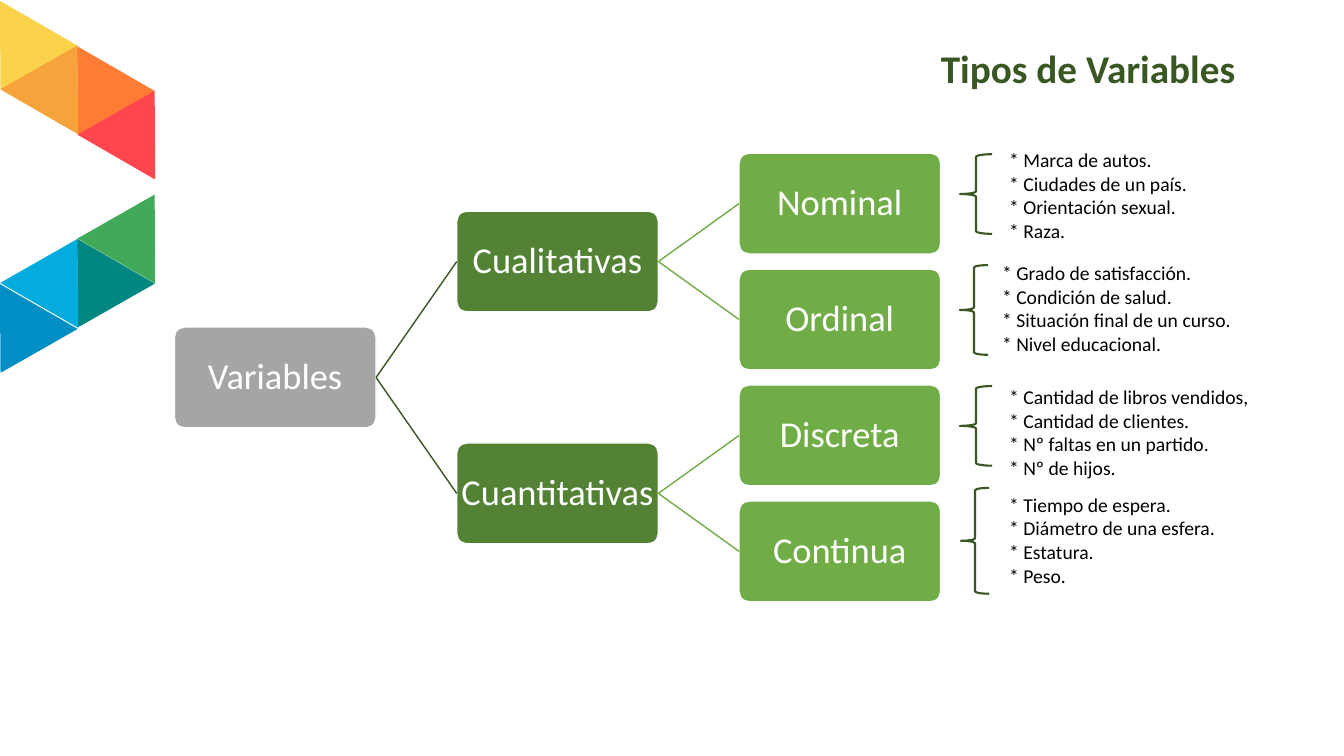
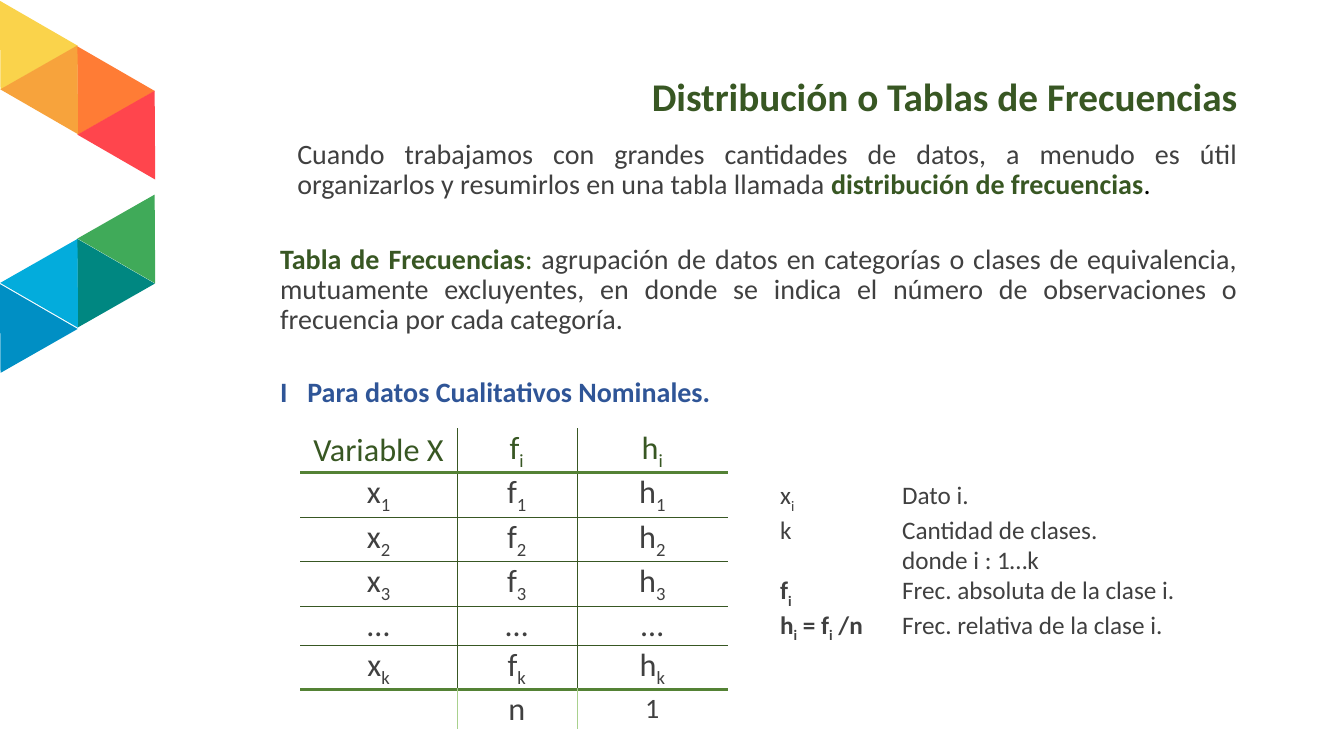
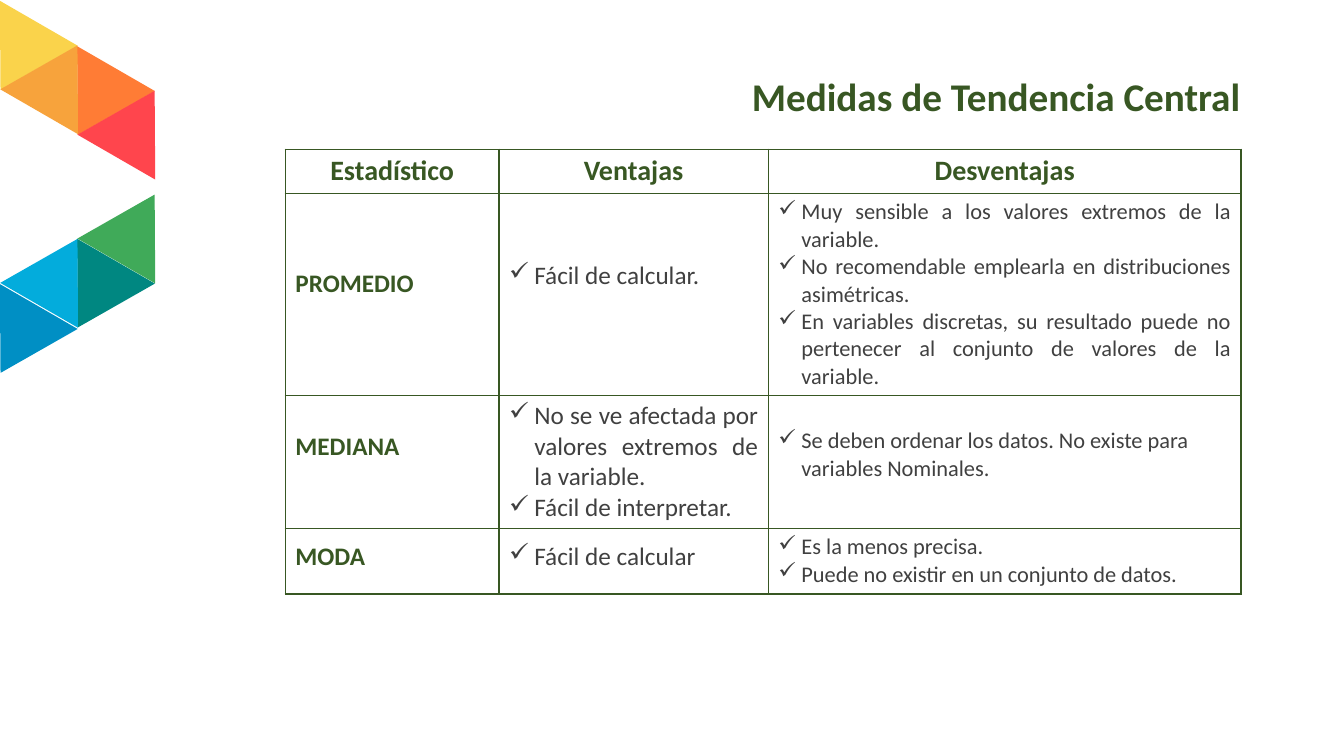
from collections.abc import Sequence
from dataclasses import dataclass, replace
from typing import Optional

import lxml.etree
import pptx
import pptx.dml.color
import pptx.enum.shapes
import pptx.enum.text
import pptx.oxml.ns
import pptx.util

Inches = pptx.util.Inches
Pt = pptx.util.Pt
RGBColor = pptx.dml.color.RGBColor
Align = pptx.enum.text.PP_ALIGN
Anchor = pptx.enum.text.MSO_ANCHOR
Shape = pptx.enum.shapes.MSO_SHAPE
qn = pptx.oxml.ns.qn

FONT = "Calibri"
WHITE = RGBColor(0xFF, 0xFF, 0xFF)
BLACK = RGBColor(0, 0, 0)
CHARCOAL = RGBColor(0x40, 0x40, 0x40)
GRAY = RGBColor(0xA5, 0xA5, 0xA5)
DARK_GREEN = RGBColor(0x38, 0x57, 0x23)
MID_GREEN = RGBColor(0x54, 0x82, 0x35)
GREEN = RGBColor(0x70, 0xAD, 0x47)
PALE_GREEN = RGBColor(0xA9, 0xD1, 0x8E)
BLUE = RGBColor(0x2F, 0x55, 0x97)

PLAIN_TABLE_STYLE = "{2D5ABB26-0587-4C30-8999-92F81FD0307C}"
SLIDE_WIDTH, SLIDE_HEIGHT = 13.33, 7.5
CONTENT_LEFT = 2.68
CONTENT_WIDTH = 9.69

# Tree grid: origin, steps between cells, and cell size
TREE_LEFT, TREE_TOP = 1.73, 1.52
TREE_COLUMN, TREE_ROW = 2.8, 1.15
NODE_WIDTH, NODE_HEIGHT = 2, 1


@dataclass(frozen=True)
class Box:
    left: float
    top: float
    width: float
    height: float

    def emu(self) -> list[int]:
        return [Inches(n) for n in (self.left, self.top, self.width, self.height)]


@dataclass(frozen=True)
class Style:
    size: float
    color: RGBColor
    bold: bool = False
    align: Align = Align.LEFT
    line_spacing: float = 1.0
    bullet_indent: float = 0
    tab: float = 0


@dataclass(frozen=True)
class Run:
    text: str
    bold: Optional[bool] = None
    color: Optional[RGBColor] = None
    subscript: bool = False


@dataclass(frozen=True)
class Triangle:
    column: int
    top: float
    color: RGBColor


@dataclass(frozen=True)
class Node:
    label: str
    column: int
    row: float
    fill: RGBColor
    parent: Optional[str] = None
    branch: Optional[RGBColor] = None


@dataclass(frozen=True)
class Examples:
    brace: Box
    left: float
    top: float
    items: tuple[str, ...]


@dataclass(frozen=True)
class Edge:
    color: RGBColor
    width: float


@dataclass(frozen=True)
class Measure:
    name: str
    name_top: float
    pros: tuple[str, ...]
    pros_top: float
    cons: tuple[str, ...]
    cons_top: float
    cons_align: Align
    height: float


TRIANGLES = (
    Triangle(0, 0.18, RGBColor(0xFA, 0xD3, 0x4B)),
    Triangle(2, 0.63, RGBColor(0xFF, 0x7C, 0x35)),
    Triangle(1, 0.40, RGBColor(0xF7, 0xA3, 0x3C)),
    Triangle(3, 0.85, RGBColor(0xFF, 0x45, 0x4D)),
    Triangle(2, 2.54, RGBColor(0x00, 0x87, 0x81)),
    Triangle(0, 2.99, RGBColor(0x00, 0x8F, 0xC4)),
    Triangle(1, 2.32, RGBColor(0x03, 0xAC, 0xDC)),
    Triangle(3, 1.88, RGBColor(0x40, 0xAA, 0x59)),
)

NODES = (
    Node("Variables", 0, 1.5, GRAY),
    Node("Cualitativas", 1, 0.5, MID_GREEN, "Variables", DARK_GREEN),
    Node("Cuantitativas", 1, 2.5, MID_GREEN, "Variables", DARK_GREEN),
    Node("Nominal", 2, 0, GREEN, "Cualitativas", GREEN),
    Node("Ordinal", 2, 1, GREEN, "Cualitativas", GREEN),
    Node("Discreta", 2, 2, GREEN, "Cuantitativas", GREEN),
    Node("Continua", 2, 3, GREEN, "Cuantitativas", GREEN),
)

EXAMPLES = (
    Examples(Box(9.52, 1.53, 0.32, 0.79), 9.91, 1.42,
             ("Marca de autos.", "Ciudades de un país.", "Orientación sexual.", "Raza.")),
    Examples(Box(9.52, 2.63, 0.28, 0.89), 9.84, 2.54,
             ("Grado de satisfacción.", "Condición de salud.",
              "Situación final de un curso.", "Nivel educacional.")),
    Examples(Box(9.52, 3.83, 0.32, 0.79), 9.91, 3.77,
             ("Cantidad de libros vendidos,", "Cantidad de clientes.",
              "Nº faltas en un partido.", "Nº de hijos.")),
    Examples(Box(9.53, 4.84, 0.28, 1.05), 9.91, 4.84,
             ("Tiempo de espera.", "Diámetro de una esfera.", "Estatura.", "Peso.")),
)

MEASURES = (
    Measure("PROMEDIO", 0.74, ("Fácil de calcular.",), 0.66,
            ("Muy sensible a los valores extremos de la variable.",
             "No recomendable emplearla en distribuciones asimétricas.",
             "En variables discretas, su resultado puede no pertenecer al conjunto "
             "de valores de la variable."), 0.05, Align.JUSTIFY, 2.0),
    Measure("MEDIANA", 0.36,
            ("No se ve afectada por valores extremos de la variable.",
             "Fácil de interpretar."), 0.05,
            ("Se deben ordenar los datos. No existe para variables Nominales.",),
            0.32, Align.LEFT, 1.32),
    Measure("MODA", 0.13, ("Fácil de calcular",), 0.13,
            ("Es la menos precisa.", "Puede no existir en un conjunto de datos."),
            0.05, Align.JUSTIFY, 0.65),
)

TITLE_STYLE = Style(28, DARK_GREEN, bold=True, align=Align.RIGHT, line_spacing=0.9)
BODY_STYLE = Style(20, CHARCOAL, align=Align.JUSTIFY, line_spacing=0.9)


def write(frame, paragraphs: Sequence[Sequence[Run]], style: Style) -> None:
    for index, runs in enumerate(paragraphs):
        paragraph = frame.add_paragraph() if index else frame.paragraphs[0]
        paragraph.alignment = style.align
        paragraph.line_spacing = style.line_spacing
        properties = paragraph._p.get_or_add_pPr()
        if style.bullet_indent:
            indent = Inches(style.bullet_indent)
            properties.set("marL", str(indent))
            properties.set("indent", str(-indent))
            lxml.etree.SubElement(properties, qn("a:buChar"), char="✓")
        if style.tab:
            tabs = lxml.etree.SubElement(properties, qn("a:tabLst"))
            lxml.etree.SubElement(tabs, qn("a:tab"), pos=str(Inches(style.tab)), algn="l")
        font = paragraph.font
        font.name, font.size, font.bold = FONT, Pt(style.size), style.bold
        font.color.rgb = style.color
        for part in runs:
            run = paragraph.add_run()
            run.text = part.text
            if part.bold is not None:
                run.font.bold = part.bold
            if part.color is not None:
                run.font.color.rgb = part.color
            if part.subscript:
                run._r.get_or_add_rPr().set("baseline", "-25000")


def lines(*texts: str) -> list[list[Run]]:
    """One single-run paragraph for each text."""
    return [[Run(text)] for text in texts]


def indexed(base: str, index: str, bold: Optional[bool] = None) -> list[Run]:
    """A symbol followed by its subscript."""
    return [Run(base, bold), Run(index, bold, subscript=True)]


def add_text(slide, box: Box, paragraphs: Sequence[Sequence[Run]], style: Style) -> None:
    frame = slide.shapes.add_textbox(*box.emu()).text_frame
    frame.word_wrap = True
    write(frame, paragraphs, style)


def add_shape(slide, kind: Shape, box: Box, fill: Optional[RGBColor] = None,
              line: Optional[Edge] = None):
    shape = slide.shapes.add_shape(kind, *box.emu())
    shape.shadow.inherit = False
    if fill is None:
        shape.fill.background()
    else:
        shape.fill.solid()
        shape.fill.fore_color.rgb = fill
    if line is None:
        shape.line.fill.background()
    else:
        shape.line.color.rgb = line.color
        shape.line.width = Pt(line.width)
    return shape


def add_slide(deck, title: str, title_top: float, title_width: float = CONTENT_WIDTH):
    """A slide with the triangle ornament and a right-aligned title."""
    slide = deck.slides.add_slide(deck.slide_layouts[5])
    for triangle in TRIANGLES:
        box = Box(-0.25 + 0.383 * triangle.column, triangle.top, 0.89, 0.76)
        ornament = add_shape(slide, Shape.ISOSCELES_TRIANGLE, box, triangle.color)
        ornament.rotation = 30 if triangle.column % 2 else 210
    heading = slide.shapes.title
    heading.left, heading.top, heading.width, heading.height = Box(
        CONTENT_LEFT, title_top, title_width, 0.65).emu()
    frame = heading.text_frame
    frame.word_wrap = True
    frame.auto_size = pptx.enum.text.MSO_AUTO_SIZE.NONE
    frame.vertical_anchor = Anchor.TOP
    write(frame, lines(title), TITLE_STYLE)
    return slide


def add_table(slide, left: float, top: float, widths: Sequence[float],
              heights: Sequence[float]):
    box = Box(left, top, sum(widths), sum(heights))
    table = slide.shapes.add_table(len(heights), len(widths), *box.emu()).table
    table.first_row = table.horz_banding = False
    table._tbl.tblPr.find(qn("a:tableStyleId")).text = PLAIN_TABLE_STYLE
    for column, width in zip(table.columns, widths):
        column.width = Inches(width)
    for row, height in zip(table.rows, heights):
        row.height = Inches(height)
    return table


def finish_cell(cell, left: Optional[Edge], right: Optional[Edge],
                top: Optional[Edge], bottom: Optional[Edge]) -> None:
    """Set the four borders and clear the fill."""
    properties = cell._tc.get_or_add_tcPr()
    for side, edge in zip("LRTB", (left, right, top, bottom)):
        line = lxml.etree.SubElement(properties, qn(f"a:ln{side}"))
        if edge is None:
            lxml.etree.SubElement(line, qn("a:noFill"))
        else:
            line.set("w", str(Pt(edge.width)))
            solid = lxml.etree.SubElement(line, qn("a:solidFill"))
            lxml.etree.SubElement(solid, qn("a:srgbClr"), val=str(edge.color))
    cell.fill.background()


def build_variable_types(deck) -> None:
    slide = add_slide(deck, "Tipos de Variables", 0.44, 9.67)
    label_style = Style(26, WHITE, align=Align.CENTER, line_spacing=0.9)
    placed = {}
    for node in NODES:
        box = Box(TREE_LEFT + node.column * TREE_COLUMN, TREE_TOP + node.row * TREE_ROW,
                  NODE_WIDTH, NODE_HEIGHT)
        block = add_shape(slide, Shape.ROUNDED_RECTANGLE, box, node.fill, Edge(WHITE, 1))
        block.adjustments[0] = 0.1
        frame = block.text_frame
        frame.word_wrap = False
        frame.vertical_anchor = Anchor.MIDDLE
        frame.margin_left = frame.margin_right = Inches(0.02)
        frame.margin_top = frame.margin_bottom = Inches(0.02)
        write(frame, lines(node.label), label_style)
        placed[node.label] = block
        if node.parent:
            branch = slide.shapes.add_connector(
                pptx.enum.shapes.MSO_CONNECTOR.STRAIGHT, 0, 0, 0, 0)
            branch.begin_connect(placed[node.parent], 3)
            branch.end_connect(block, 1)
            branch.line.color.rgb = node.branch
            branch.line.width = Pt(1)
            lxml.etree.SubElement(branch._element.spPr, qn("a:effectLst"))
    for group in EXAMPLES:
        add_shape(slide, Shape.LEFT_BRACE, group.brace, line=Edge(DARK_GREEN, 1.5))
        add_text(slide, Box(group.left, group.top, 2.59, 1.04),
                 lines(*(f"* {item}" for item in group.items)), Style(14, BLACK))


def build_frequency_table(deck) -> None:
    slide = add_slide(deck, "Distribución o Tablas de Frecuencias", 0.72)
    add_text(slide, Box(2.85, 1.34, 9.52, 0.96), [[
        Run("Cuando trabajamos con grandes cantidades de datos, a menudo es útil "
            "organizarlos y resumirlos en una tabla llamada "),
        Run("distribución de frecuencias", True, DARK_GREEN),
        Run(".", color=BLACK)]], BODY_STYLE)
    add_text(slide, Box(CONTENT_LEFT, 2.38, CONTENT_WIDTH, 1.24), [[
        Run("Tabla de Frecuencias", True, DARK_GREEN),
        Run(": ", color=DARK_GREEN),
        Run("agrupación de datos en categorías o clases de equivalencia, mutuamente "
            "excluyentes, en donde se indica el número de observaciones o frecuencia "
            "por cada categoría.")]], BODY_STYLE)
    add_text(slide, Box(CONTENT_LEFT, 3.67, 6.4, 0.44),
             lines("I\tPara datos Cualitativos Nominales."),
             Style(20, BLUE, bold=True, tab=0.27))

    def symbols(index: str) -> list[list[Run]]:
        return [indexed(base, index) for base in "xfh"]

    rows = [
        [[Run("Variable X")], *symbols("i")[1:]],
        *(symbols(index) for index in "123"),
        lines("…", "…", "…"),
        symbols("k"),
        [[], [Run("n")], [Run("1")]],
    ]
    thin, thick, pale = Edge(DARK_GREEN, 0.25), Edge(MID_GREEN, 2.25), Edge(PALE_GREEN, 0.25)
    last = len(rows) - 1
    rules = [None, thick, *[thin] * (last - 2), thick, None]
    heights = [0.44 if any(run.subscript for run in row[1]) else 0.39 for row in rows]
    table = add_table(slide, 2.98, 4.25, (1.55, 1.19, 1.5), heights)
    for r, row in enumerate(rows):
        divider = pale if r == last else thin
        for c, runs in enumerate(row):
            cell = table.cell(r, c)
            cell.vertical_anchor = Anchor.MIDDLE
            cell.margin_left = cell.margin_right = Inches(0.07)
            cell.margin_top = cell.margin_bottom = 0
            write(cell.text_frame, [runs],
                  Style(20 if (r, c) == (last, 2) else 23,
                        CHARCOAL if r else DARK_GREEN, align=Align.CENTER))
            finish_cell(cell, divider if c else None, divider if c < 2 else None,
                        rules[r], rules[r + 1])

    add_text(slide, Box(7.64, 4.71, 4.24, 1.92), [
        [*indexed("x", "i"), Run("\tDato i.")],
        [Run("k\tCantidad de clases.")],
        [Run("\tdonde i : 1…k")],
        [*indexed("f", "i", True), Run("\tFrec. absoluta de la clase i.")],
        [*indexed("h", "i", True), *indexed(" = f", "i", True), Run(" /n", True),
         Run("\tFrec. relativa de la clase i.")],
    ], Style(18, CHARCOAL, tab=1.21))


def build_central_tendency(deck) -> None:
    slide = add_slide(deck, "Medidas de Tendencia Central", 0.72, 9.72)
    table = add_table(slide, 2.83, 1.48, (2.12, 2.67, 4.69),
                      [0.44, *(measure.height for measure in MEASURES)])
    header_style = Style(20, DARK_GREEN, bold=True, align=Align.CENTER)
    name_style = Style(18, DARK_GREEN, bold=True)
    pros_style = Style(18, CHARCOAL, align=Align.JUSTIFY, bullet_indent=0.25)
    cons_style = Style(16, CHARCOAL, bullet_indent=0.23)
    for c, header in enumerate(("Estadístico", "Ventajas", "Desventajas")):
        write(table.cell(0, c).text_frame, lines(header), header_style)
    for r, measure in enumerate(MEASURES, start=1):
        contents = (
            ((measure.name,), measure.name_top, name_style),
            (measure.pros, measure.pros_top, pros_style),
            (measure.cons, measure.cons_top, replace(cons_style, align=measure.cons_align)),
        )
        for c, (texts, top, style) in enumerate(contents):
            cell = table.cell(r, c)
            cell.margin_top = Inches(top)
            write(cell.text_frame, lines(*texts), style)
    grid = Edge(DARK_GREEN, 1)
    for cell in table.iter_cells():
        finish_cell(cell, grid, grid, grid, grid)


def main() -> None:
    deck = pptx.Presentation()
    deck.slide_width, deck.slide_height = Inches(SLIDE_WIDTH), Inches(SLIDE_HEIGHT)
    build_variable_types(deck)
    build_frequency_table(deck)
    build_central_tendency(deck)
    deck.save("out.pptx")


if __name__ == "__main__":
    main()
